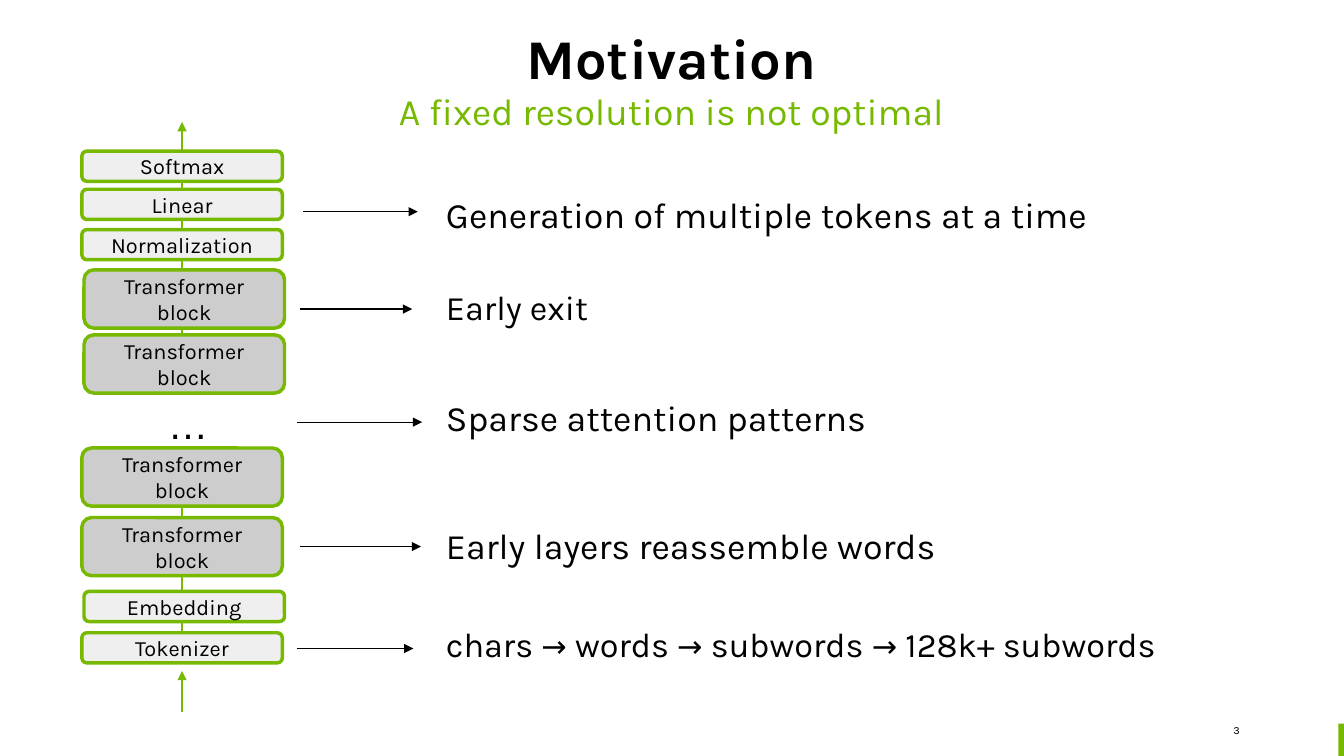
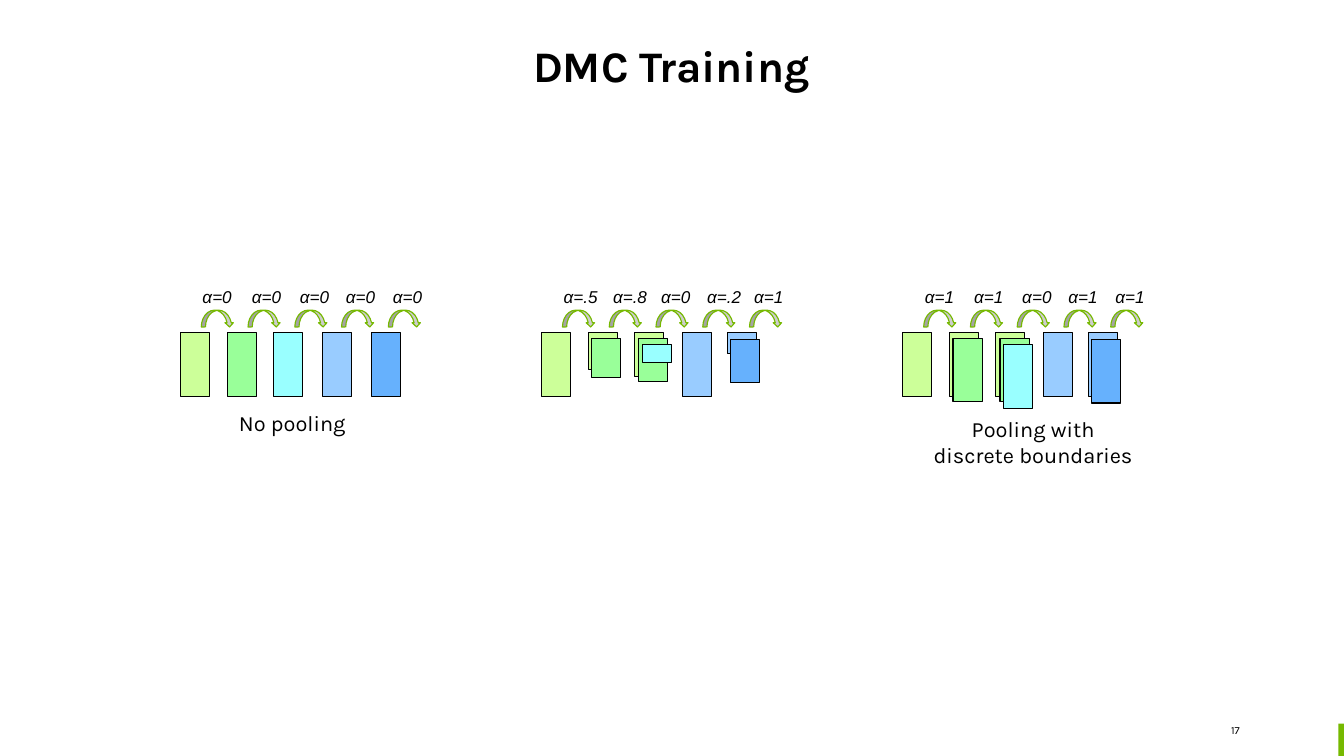
"""Build two slides on token resolution and pooling in language models."""
from dataclasses import dataclass

from lxml import etree
from pptx import Presentation
from pptx.dml.color import RGBColor
from pptx.enum.shapes import MSO_CONNECTOR, MSO_SHAPE
from pptx.enum.text import MSO_ANCHOR, MSO_AUTO_SIZE, PP_ALIGN
from pptx.oxml.ns import qn
from pptx.util import Pt

RECT = MSO_SHAPE.RECTANGLE
ROUND = MSO_SHAPE.ROUNDED_RECTANGLE
CURVE = MSO_SHAPE.CURVED_DOWN_ARROW
STRAIGHT = MSO_CONNECTOR.STRAIGHT
LEFT, MID, RIGHT = PP_ALIGN.LEFT, PP_ALIGN.CENTER, PP_ALIGN.RIGHT
TOP, CENTER, BASE = MSO_ANCHOR.TOP, MSO_ANCHOR.MIDDLE, MSO_ANCHOR.BOTTOM
FIXED = MSO_AUTO_SIZE.NONE
BOTTOM_SITE = 2


@dataclass(frozen=True)
class Theme:
    """Colours, fonts, type sizes and insets of the deck."""

    green: str = "76B900"
    ink: str = "000000"
    pale: str = "EFEFEF"
    grey: str = "CDCDCD"
    lime: str = "CCFF99"
    mint: str = "99FF99"
    aqua: str = "99FFFF"
    sky: str = "99CCFF"
    blue: str = "66B1FD"
    font: str = "Karla"
    plain: str = "Arial"
    sub: float = 24
    body: float = 14
    arrow: float = 19.5
    dots: float = 26
    alpha: float = 11
    page: float = 7
    thin: float = 0.75
    thick: float = 2.25
    pad: tuple = (7.2, 7.2)
    slim: tuple = (2.2, 0.7)


T = Theme()
TITLE_BOX = (59, 0, 745.2, 59.8)
SUB_BOX = (59, 59, 745.2, 33.1)

LAYERS = (
    ("Softmax", 0, 18.7), ("Linear", 0, 43.2), ("Normalization", 0, 69.1),
    ("Transformer block", 1.4, 95), ("Transformer block", 1.4, 136.8),
    ("Transformer block", 0, 209.5), ("Transformer block", 0, 254.2),
    ("Embedding", 1.4, 301.7), ("Tokenizer", 0, 328.3),
)
NOTES = (
    ("Generation of multiple tokens at a time", 23, 0, 4.3, 77.8, 19.5),
    ("Early exit", 22, 60.5, 2.2, 74.2, 82.1),
    ("Sparse attention patterns", 23, 130.4, 0, 80.6, 154.8),
    ("Early layers reassemble words", 23, 213.2, 2.2, 79.9, 234.8),
    ("chars → words → subwords → 128k+ subwords", 22, 277.2, 0, 74.9, 300.3),
)

FULL = 41
ROW = tuple((x, 0, fill) for x, fill in (
    (0, T.lime), (30.2, T.mint), (59.8, T.aqua), (91.4, T.sky), (123.1, T.blue)))
PILE = (
    (0, 0, T.lime), (30.2, 0, T.lime), (59.8, 0, T.lime),
    (32.4, 3.6, T.mint), (62.6, 3.6, T.mint), (64.8, 7.9, T.aqua),
    (90.7, 0, T.sky), (119.5, 0, T.sky), (121.3, 4.3, T.blue),
)
PANELS = (
    (ROW, [FULL] * 5, ("0", "0", "0", "0", "0"),
     "No pooling", (18, 79.2, 108, 31.7)),
    (PILE, (FULL, 23.8, 28.1, 25.2, 28.1, 11.5, FULL, 13.7, 28.1),
     (".5", ".8", "0", ".2", "1"), None, None),
    (PILE, [FULL] * 9, ("1", "1", "0", "1", "1"),
     "Pooling with discrete boundaries", (10.1, 82.8, 147.6, 48.2)),
)
ALPHA_X = (7.2, 38.9, 69.8, 99.4, 129.6)


def rgb(code):
    """Return the colour for a hex code."""
    return RGBColor.from_string(code)


def points(*nums):
    """Turn numbers into lengths in points."""
    return [Pt(num) for num in nums]


def write(frame, text, size, color=T.ink, font=T.font, align=LEFT,
          anchor=TOP, pad=T.pad, bold=False, slant=False):
    """Set and format the text of a frame, with smaller arrows inside it."""
    frame.word_wrap = True
    frame.auto_size = FIXED
    frame.vertical_anchor = anchor
    frame.margin_left = frame.margin_right = Pt(pad[0])
    frame.margin_top = frame.margin_bottom = Pt(pad[1])
    para = frame.paragraphs[0]
    first, *rest = text.replace("→", "|→|").split("|")
    para.text = first
    for part in rest:
        para.add_run().text = part
    para.alignment = align
    for run in para.runs:
        run.font.size = Pt(T.arrow if run.text == "→" else size)
        run.font.name = font
        run.font.color.rgb = rgb(color)
        run.font.bold = bold
        run.font.italic = slant
    return para


def label(slide, box, text, size, **look):
    """Add a text box."""
    shape = slide.shapes.add_textbox(*points(*box))
    return write(shape.text_frame, text, size, **look)


def block(slide, kind, box, fill, line=None, width=T.thin):
    """Add a filled shape, outlined if a line colour is given."""
    shape = slide.shapes.add_shape(kind, *points(*box))
    shape.shadow.inherit = False
    shape.fill.solid()
    shape.fill.fore_color.rgb = rgb(fill)
    if line:
        shape.line.color.rgb = rgb(line)
        shape.line.width = Pt(width)
    else:
        shape.line.fill.background()
    return shape


def arrow(slide, start, end, color):
    """Add a straight arrow between two points."""
    line = slide.shapes.add_connector(STRAIGHT, *points(*start, *end))
    line.line.color.rgb = rgb(color)
    line.line.width = Pt(T.thin)
    tip = etree.SubElement(line.line._get_or_add_ln(), qn("a:tailEnd"))
    tip.set("type", "triangle")
    etree.SubElement(line.element.spPr, qn("a:effectLst"))
    return line


def base(deck, title, size, page):
    """Add a slide with its title, page number and corner mark."""
    slide = deck.slides.add_slide(deck.slide_layouts.get_by_name("Title Only"))
    block(slide, RECT, (860.4, 465.1, 3.6, 20.9), T.green)
    label(slide, (609.8, 456.5, 189.4, 25.9), page, T.page,
          align=RIGHT, anchor=CENTER, pad=T.slim)
    head = slide.shapes.title
    head.left, head.top, head.width, head.height = points(*TITLE_BOX)
    para = write(head.text_frame, title, size, align=MID, anchor=BASE,
                 pad=T.slim, bold=True)
    para.line_spacing = 0.9
    return slide


def stack(slide, left, top):
    """Draw the model layers with the flow running up behind them."""
    boxes = []
    for name, dx, dy in LAYERS:
        deep = name.startswith("Transformer")
        box = (left + dx, top + dy, 128.9, 37.4 if deep else 19.4)
        shape = block(slide, ROUND, box, T.grey if deep else T.pale,
                      T.green, T.thick)
        write(shape.text_frame, name, T.body, align=MID, anchor=CENTER)
        boxes.append(shape)
    label(slide, (left + 48.2, top + 170.6, 32.4, 46.1), "…", T.dots,
          font=T.plain, align=MID)
    axis = left + 64.45
    flows = [arrow(slide, (axis, top + start), (axis, top + end), T.green)
             for start, end in ((347.7, 234), (165.6, 0), (379.4, 352.8))]
    flows[0].begin_connect(boxes[-1], BOTTOM_SITE)
    for flow in flows[:2]:
        boxes[0].element.addprevious(flow.element)


def notes(slide, left, top):
    """Draw the remarks, each with the arrow that leads to it."""
    for text, size, dy, start, end, level in NOTES:
        label(slide, (left + 88.8, top + dy, 550, 42), text, size)
        arrow(slide, (left + start, top + level), (left + end, top + level),
              T.ink)


def panel(slide, left, top, bars, highs, alphas, name, place):
    """Draw one pooling case: bars, curved arrows, alphas and caption."""
    for (dx, dy, fill), high in zip(bars, highs):
        block(slide, RECT, (left + dx, top + 36.7 + dy, 18.7, high),
              fill, T.ink)
    for num, (dx, alpha) in enumerate(zip(ALPHA_X, alphas)):
        block(slide, CURVE, (left + 13.5 + num * 30.06, top + 22.3, 20.9, 10.8),
              T.grey, T.green)
        label(slide, (left + dx, top, 38.2, 20.9), f"α={alpha}", T.alpha,
              font=T.plain, slant=True)
    if name:
        dx, dy, wide, high = place
        label(slide, (left + dx, top + dy, wide, high), name, T.body, align=MID)


def motive(deck):
    """Build the motivation slide."""
    slide = base(deck, "Motivation", 36, "3")
    para = label(slide, SUB_BOX, "A fixed resolution is not optimal", T.sub,
                 color=T.green, align=MID, pad=T.slim)
    para.line_spacing = 0.9
    stack(slide, 52.6, 78.5)
    notes(slide, 190.8, 116.6)


def training(deck):
    """Build the training slide."""
    slide = base(deck, "DMC Training", 28, "17")
    for num, case in enumerate(PANELS):
        panel(slide, 115.9 + num * 232.2, 177.1, *case)


def main():
    """Build and save the deck."""
    deck = Presentation()
    deck.slide_width, deck.slide_height = points(864, 486)
    motive(deck)
    training(deck)
    deck.save("out.pptx")


if __name__ == "__main__":
    main()
